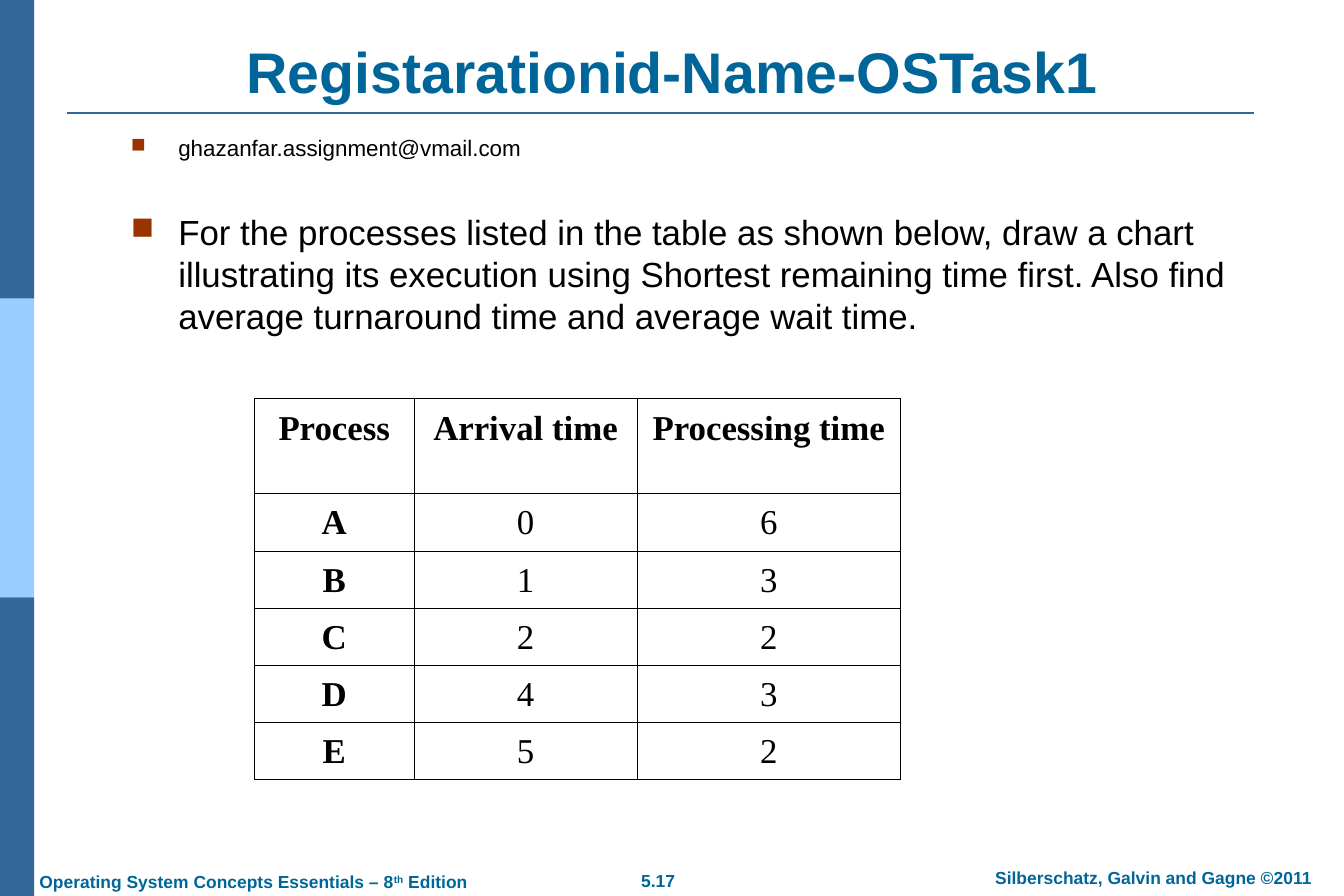
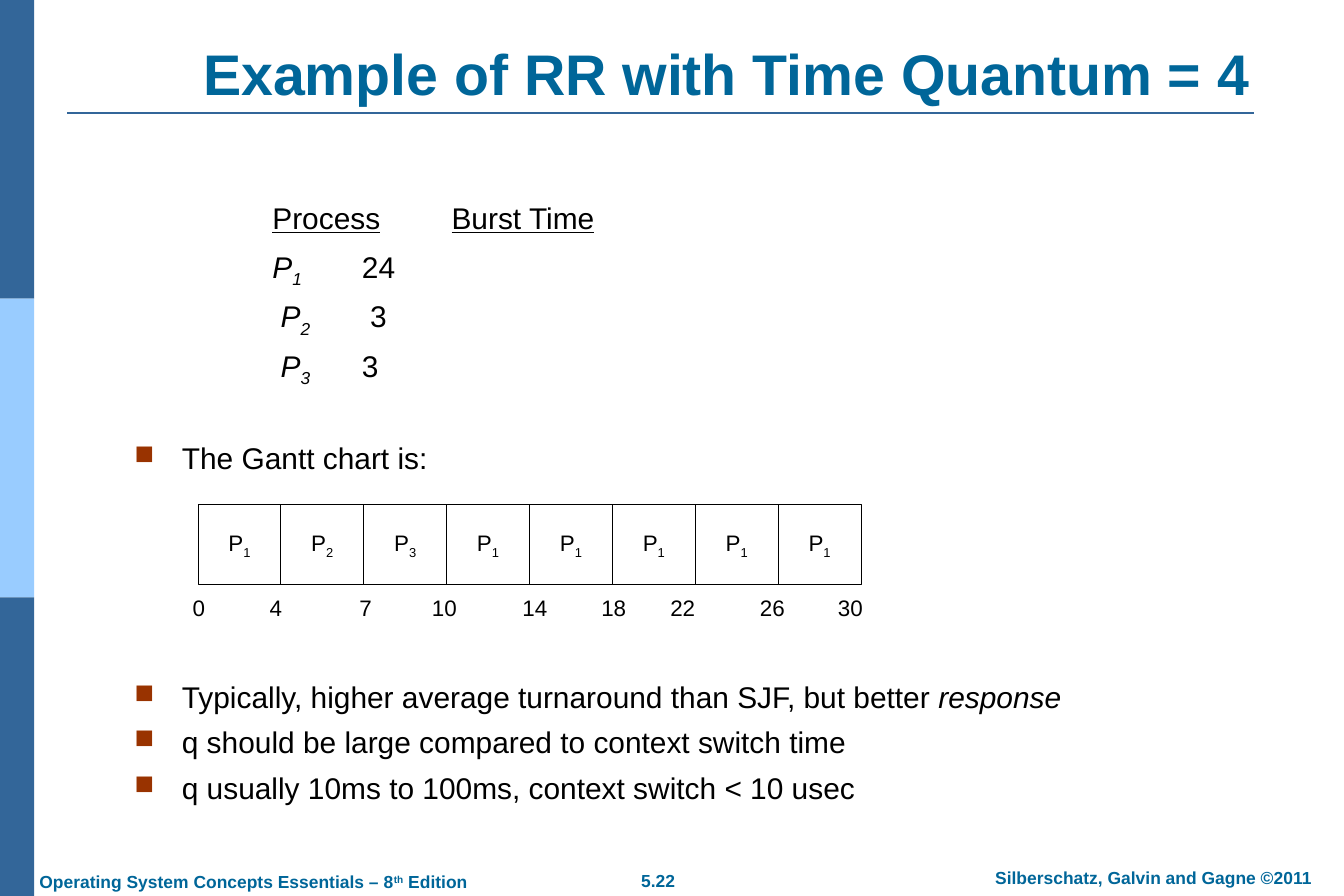
"""Builds two slides on CPU scheduling: a task sheet and a round-robin example."""
from lxml import etree
from pptx import Presentation
from pptx.dml.color import RGBColor
from pptx.enum.shapes import MSO_CONNECTOR as Connector, MSO_SHAPE as Shape
from pptx.enum.text import MSO_ANCHOR as Anchor, PP_ALIGN as Align
from pptx.oxml.ns import qn
from pptx.util import Inches, Pt

COLORS = {"band": "336699", "band_light": "99CCFF", "heading": "006699",
          "bullet": "993300", "text": "000000", "paper": "FFFFFF"}
SANS, SERIF = "Arial", "Times New Roman"
BASELINES = {"sub": "-25000", "super": "30000"}

BANDS = ["band", "band_light", "band"]
EDITION = [("Operating System Concepts Essentials – 8", ""), ("th", "super"), (" Edition", "")]
COPYRIGHT = "Silberschatz, Galvin and Gagne ©2011"

TASK_TITLE = "Registarationid-Name-OSTask1"
TASK_EMAIL = "ghazanfar.assignment@vmail.com"
TASK_QUESTION = ("For the processes listed in the table as shown below, draw a chart illustrating "
                 "its execution using Shortest remaining time first. Also find average turnaround "
                 "time and average wait time.")
PROCESSES = [
    ("Process", "Arrival time", "Processing time"),
    ("A", "0", "6"),
    ("B", "1", "3"),
    ("C", "2", "2"),
    ("D", "4", "3"),
    ("E", "5", "2"),
]
PROCESS_COLUMNS = [1.78, 2.49, 2.94]
PROCESS_ROWS = [1.06] + [0.54] * 5

RR_TITLE = "Example of RR with Time Quantum = 4"
BURSTS = [
    [("Process", "u"), ("\t", ""), ("Burst Time", "u")],
    [("P", "i"), ("1", "i sub"), ("\t24", "")],
    [(" P", "i"), ("2", "i sub"), ("\t 3", "")],
    [(" P", "i"), ("3", "i sub"), ("\t3", "")],
]
BURST_TABS = [1, 2]
GANTT_INTRO = ["The Gantt chart is:"]
GANTT_PROCESSES = "12311111"
GANTT_TIMES = [("0", 2.22), ("4", 3.08), ("7", 4.08), ("10", 4.96), ("14", 5.97),
               ("18", 6.85), ("22", 7.62), ("26", 8.62), ("30", 9.49)]
RR_NOTES = [
    [("Typically, higher average turnaround than SJF, but better ", ""), ("response", "i")],
    "q should be large compared to context switch time",
    "q usually 10ms to 100ms, context switch < 10 usec",
]


def rgb(name):
    return RGBColor.from_string(COLORS[name])


def add_bullet(paragraph):
    props = paragraph._p.get_or_add_pPr()
    props.set("marL", str(Inches(0.53)))
    props.set("indent", str(-Inches(0.53)))
    color = etree.SubElement(props, qn("a:buClr"))
    etree.SubElement(color, qn("a:srgbClr"), val=COLORS["bullet"])
    etree.SubElement(props, qn("a:buSzPct"), val="90000")
    etree.SubElement(props, qn("a:buChar"), char="■")


def add_tabs(paragraph, stops):
    tabs = etree.SubElement(paragraph._p.get_or_add_pPr(), qn("a:tabLst"))
    for stop in stops:
        etree.SubElement(tabs, qn("a:tab"), pos=str(Inches(stop)), algn="l")


def write(paragraph, content, size, color="text", bold=False, align=Align.LEFT,
          face=SANS, bullet=False, tabs=()):
    if bullet:
        add_bullet(paragraph)
    if tabs:
        add_tabs(paragraph, tabs)
    paragraph.alignment = align
    font = paragraph.font
    font.name, font.size, font.bold = face, Pt(size), bold
    font.color.rgb = rgb(color)
    for text, style in [(content, "")] if isinstance(content, str) else content:
        run = paragraph.add_run()
        run.text = text
        for mark in style.split():
            if mark in BASELINES:
                run._r.get_or_add_rPr().set("baseline", BASELINES[mark])
            elif mark == "i":
                run.font.italic = True
            else:
                run.font.underline = True


def add_frame(slide, box, anchor=Anchor.TOP):
    frame = slide.shapes.add_textbox(*map(Inches, box)).text_frame
    frame.word_wrap = True
    frame.vertical_anchor = anchor
    frame.margin_left = frame.margin_right = Inches(0.14)
    frame.margin_top = frame.margin_bottom = Inches(0.07)
    return frame


def add_line(slide, box, content, size, anchor=Anchor.TOP, **style):
    write(add_frame(slide, box, anchor).paragraphs[0], content, size, **style)


def add_list(slide, box, items, **style):
    frame = add_frame(slide, box)
    for i, item in enumerate(items):
        paragraph = frame.add_paragraph() if i else frame.paragraphs[0]
        write(paragraph, item, 24, **style)
        paragraph.line_spacing = 0.9
        paragraph.space_before = Pt(10.5 if i else 0)


def add_rect(slide, box, fill):
    rect = slide.shapes.add_shape(Shape.RECTANGLE, *map(Inches, box))
    rect.shadow.inherit = False
    rect.fill.solid()
    rect.fill.fore_color.rgb = rgb(fill)
    rect.line.fill.background()
    return rect


def add_base(deck, title, title_box, number):
    slide = deck.slides.add_slide(deck.slide_layouts[6])
    height = 10 / len(BANDS)
    for i, fill in enumerate(BANDS):
        add_rect(slide, (0, i * height, 0.38, height), fill)
    rule = slide.shapes.add_connector(
        Connector.STRAIGHT, Inches(0.75), Inches(1.26), Inches(14), Inches(1.26))
    rule.line.color.rgb = rgb("band")
    rule.line.width = Pt(1.5)
    etree.SubElement(rule._element.spPr, qn("a:effectLst"))
    heading = {"color": "heading", "bold": True}
    add_line(slide, (6.65, 9.64, 1.39, 0.38), number, 14, align=Align.CENTER, **heading)
    add_line(slide, (10.65, 9.61, 4.45, 0.38), COPYRIGHT, 14, align=Align.CENTER, **heading)
    add_line(slide, (0.3, 9.65, 5.2, 0.38), EDITION, 14, **heading)
    add_line(slide, title_box, title, 46, Anchor.BOTTOM, align=Align.CENTER, **heading)
    return slide


def style_cell(cell):
    cell.margin_left = cell.margin_right = Inches(0.08)
    cell.margin_top = cell.margin_bottom = Inches(0.05)
    props = cell._tc.get_or_add_tcPr()
    for side in ("lnL", "lnR", "lnT", "lnB"):
        border = etree.SubElement(props, qn(f"a:{side}"), w=str(Pt(0.45)))
        fill = etree.SubElement(border, qn("a:solidFill"))
        etree.SubElement(fill, qn("a:srgbClr"), val=COLORS["text"])
    cell.fill.background()


def add_process_table(slide):
    box = (2.84, 4.45, sum(PROCESS_COLUMNS), sum(PROCESS_ROWS))
    table = slide.shapes.add_table(
        len(PROCESS_ROWS), len(PROCESS_COLUMNS), *map(Inches, box)).table
    table.horz_banding = False
    for column, width in zip(table.columns, PROCESS_COLUMNS):
        column.width = Inches(width)
    for r, (row, height) in enumerate(zip(table.rows, PROCESS_ROWS)):
        row.height = Inches(height)
        for c, text in enumerate(PROCESSES[r]):
            cell = table.cell(r, c)
            style_cell(cell)
            paragraph = cell.text_frame.paragraphs[0]
            write(paragraph, text, 28, bold=r == 0 or c == 0, align=Align.CENTER, face=SERIF)
            paragraph.line_spacing = 1.15


def add_gantt(slide):
    width = 0.925
    for i, process in enumerate(GANTT_PROCESSES):
        slot = add_rect(slide, (2.21 + i * width, 5.63, width, 0.89), "paper")
        slot.line.color.rgb = rgb("text")
        slot.line.width = Pt(0.75)
        slot.text_frame.vertical_anchor = Anchor.MIDDLE
        write(slot.text_frame.paragraphs[0], [("P", ""), (process, "sub")], 18,
              align=Align.CENTER)
    for time, center in GANTT_TIMES:
        add_line(slide, (center - 0.35, 6.58, 0.7, 0.4), time, 18, Anchor.MIDDLE,
                 align=Align.CENTER)


def build_task(deck):
    slide = add_base(deck, TASK_TITLE, (0.75, 0.4, 13.5, 0.84), "5.17")
    frame = add_frame(slide, (1.32, 1.43, 13.5, 2.6))
    write(frame.paragraphs[0], TASK_EMAIL, 18, bullet=True)
    question = frame.add_paragraph()
    write(question, TASK_QUESTION, 28, bullet=True)
    question.space_before = Pt(40)
    add_process_table(slide)


def build_round_robin(deck):
    slide = add_base(deck, RR_TITLE, (1.5, 0.03, 13.21, 1.23), "5.22")
    add_list(slide, (2.9, 2.2, 6, 2.3), BURSTS, tabs=BURST_TABS)
    add_list(slide, (1.36, 4.88, 12.06, 0.5), GANTT_INTRO, bullet=True)
    add_gantt(slide)
    add_list(slide, (1.36, 7.55, 12.06, 1.5), RR_NOTES, bullet=True)


def main():
    deck = Presentation()
    deck.slide_width, deck.slide_height = Inches(15), Inches(10)
    build_task(deck)
    build_round_robin(deck)
    deck.save("out.pptx")


if __name__ == "__main__":
    main()
